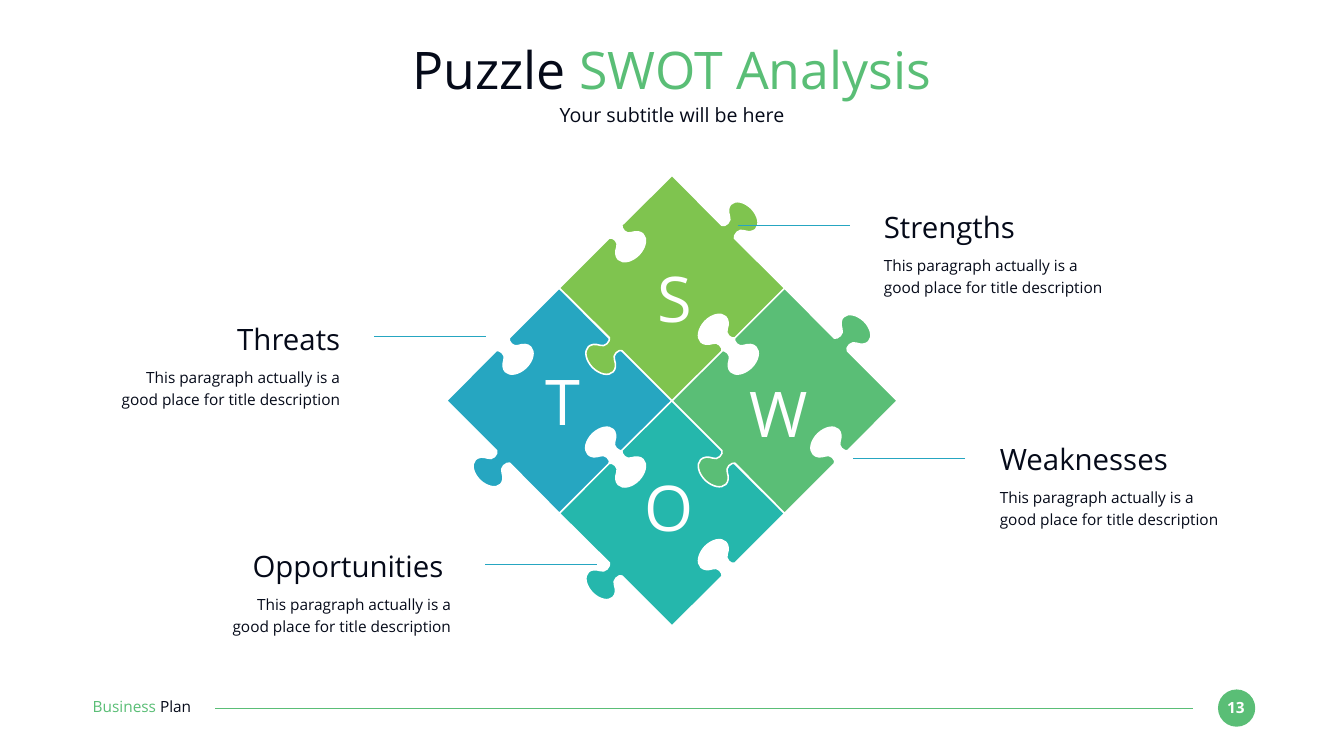
from pptx import Presentation
from pptx.dml.color import RGBColor
from pptx.enum.shapes import MSO_CONNECTOR, MSO_SHAPE
from pptx.enum.text import MSO_ANCHOR, PP_ALIGN
from pptx.oxml.ns import qn
from pptx.util import Inches, Pt
from lxml import etree

LEFT, MID, RIGHT = PP_ALIGN.LEFT, PP_ALIGN.CENTER, PP_ALIGN.RIGHT
TOP, CORE = MSO_ANCHOR.TOP, MSO_ANCHOR.MIDDLE
LINE, OVAL = MSO_CONNECTOR.STRAIGHT, MSO_SHAPE.OVAL
INK, WHITE = "050A19", "FFFFFF"
GREEN, LIME, TEAL, BLUE = "5ABE76", "7FC44F", "25B7AC", "26A6C1"
rgb = RGBColor.from_string

deck = Presentation()
deck.slide_width, deck.slide_height = Inches(26.67), Inches(15)
STEP = deck.slide_height / 100  # square grid: 100 rows, 177.8 columns
COLS = deck.slide_width / STEP
slide = deck.slides.add_slide(deck.slide_layouts[6])
shapes = slide.shapes


def text(box, runs, size, align=LEFT, anchor=TOP, gap=None, bold=None):
    frame = shapes.add_textbox(*[round(v * STEP) for v in box]).text_frame
    form = {"word_wrap": True, "vertical_anchor": anchor, "margin_left": 0,
            "margin_right": 0, "margin_top": 0, "margin_bottom": 0}
    for key, val in form.items():
        setattr(frame, key, val)
    para = frame.paragraphs[0]
    para.alignment, para.line_spacing = align, gap
    for words, tint in runs:
        run = para.add_run()
        run.text = words
        for key, val in {"name": "Open Sans", "size": Pt(size), "bold": bold}.items():
            setattr(run.font, key, val)
        run.font.color.rgb = rgb(tint)


def rule(x1, x2, y, tint):
    ends = [round(v * STEP) for v in (x1, y, x2, y)]
    line = shapes.add_connector(LINE, *ends)
    line.line.color.rgb = rgb(tint)
    line.line.width = Pt(1.5)
    etree.SubElement(line._element.spPr, qn("a:effectLst"))


# Footer
disc = shapes.add_shape(OVAL, *[round(v * STEP) for v in (161.13, 91.2, 4.93, 4.93)])
disc.shadow.inherit = False
disc.fill.solid()
disc.fill.fore_color.rgb = rgb(GREEN)
disc.line.fill.background()
text((161.53, 92.33, 3.93, 2.47), [("13", WHITE)], 22, MID, bold=True)
rule(157.8, 28.47, 93.67, GREEN)
text((12.27, 92.27, 17.27, 2.47), [("Business ", GREEN), ("Plan", INK)], 22)

# Heading
edge = 12.2
wide = COLS - 2 * edge
text((edge, 4.87, wide, 8.47), [("Puzzle ", INK), ("SWOT Analysis", GREEN)], 74, MID, CORE)
text((edge, 13.53, wide, 3.27), [("Your subtitle will be here", INK)], 28, MID, CORE)

# One side of a piece: corner, start of the knob, then curves of three points
HALF = 14.9
SIDE = [
    (0, 0), (6.6, 6.6),
    (6.73, 6.8), (6.6, 7.13), (6.33, 7.4),
    (6.07, 7.67), (5.67, 7.73), (5.4, 7.6),
    (4.8, 7.4), (4.2, 7.4), (3.8, 7.8),
    (3.2, 8.4), (3.47, 9.6), (4.4, 10.53),
    (5.33, 11.4), (6.53, 11.67), (7.13, 11.07),
    (7.47, 10.73), (7.53, 10.13), (7.33, 9.53),
    (7.2, 9.2), (7.27, 8.87), (7.53, 8.6),
    (7.8, 8.33), (8.13, 8.2), (8.33, 8.27),
]

# Mirrored sides join into one piece around its centre
piece = []
for cx, cy, sx, sy in [(-1, 0, 1, 1), (0, 1, 1, -1), (1, 0, -1, -1), (0, -1, -1, 1)]:
    piece += [(cx * HALF + sx * x, cy * HALF + sy * y) for x, y in SIDE]

# Puzzle: the upper and lower pieces swap x and y
for col, row, tint in [(-1, 0, BLUE), (0, 1, TEAL), (1, 0, GREEN), (0, -1, LIME)]:
    midx, midy = COLS / 2 + col * HALF, 53 + row * HALF
    dots = [(y, x) if row else (x, y) for x, y in piece]
    dots = [(round((midx + x) * STEP), round((midy + y) * STEP)) for x, y in dots]
    form = shapes.build_freeform(*dots[0])
    form.add_line_segments(dots[1:], close=True)
    part = form.convert_to_shape()
    part.shadow.inherit = False
    part.fill.solid()
    part.fill.fore_color.rgb = rgb(tint)
    part.line.color.rgb = rgb(WHITE)
    part.line.width = Pt(2.25)
    # Merge each three knob points into one curve
    legs = list(part._element.iter(qn("a:lnTo")))
    for base in range(0, len(dots), len(SIDE)):
        for spot in range(base + 2, base + len(SIDE), 3):
            trio = legs[spot - 1:spot + 2]
            curve = etree.Element(qn("a:cubicBezTo"))
            trio[0].addprevious(curve)
            for leg in trio:
                curve.append(leg[0])
                leg.getparent().remove(leg)

# Labels with their lead lines
NOTE = "This paragraph actually is a good place for title description"
for name, x, y, align, tip, level in [
    ("Threats", 14.73, 42.47, RIGHT, 64.27, 44.53),
    ("Opportunities ", 29.4, 72.53, RIGHT, 78.93, 74.67),
    ("Strengths", 116.93, 27.67, LEFT, 112.4, 29.87),
    ("Weaknesses", 132.27, 58.4, LEFT, 127.67, 60.67),
]:
    text((x, y, 30.27, 4.73), [(name, INK)], 42, align)
    text((x, y + 5.67, 30.27, 5.93), [(NOTE, INK)], 22, align, gap=1.2)
    rule(tip, tip - 14.8, level, BLUE)

# Letters
for mark, x, y in [("W", 96, 49.6), ("S", 82.33, 34.27), ("T", 67.47, 47.93), ("O", 81.47, 62)]:
    text((x, y, 14, 10.07), [(mark, WHITE)], 90, MID)

deck.save("out.pptx")
